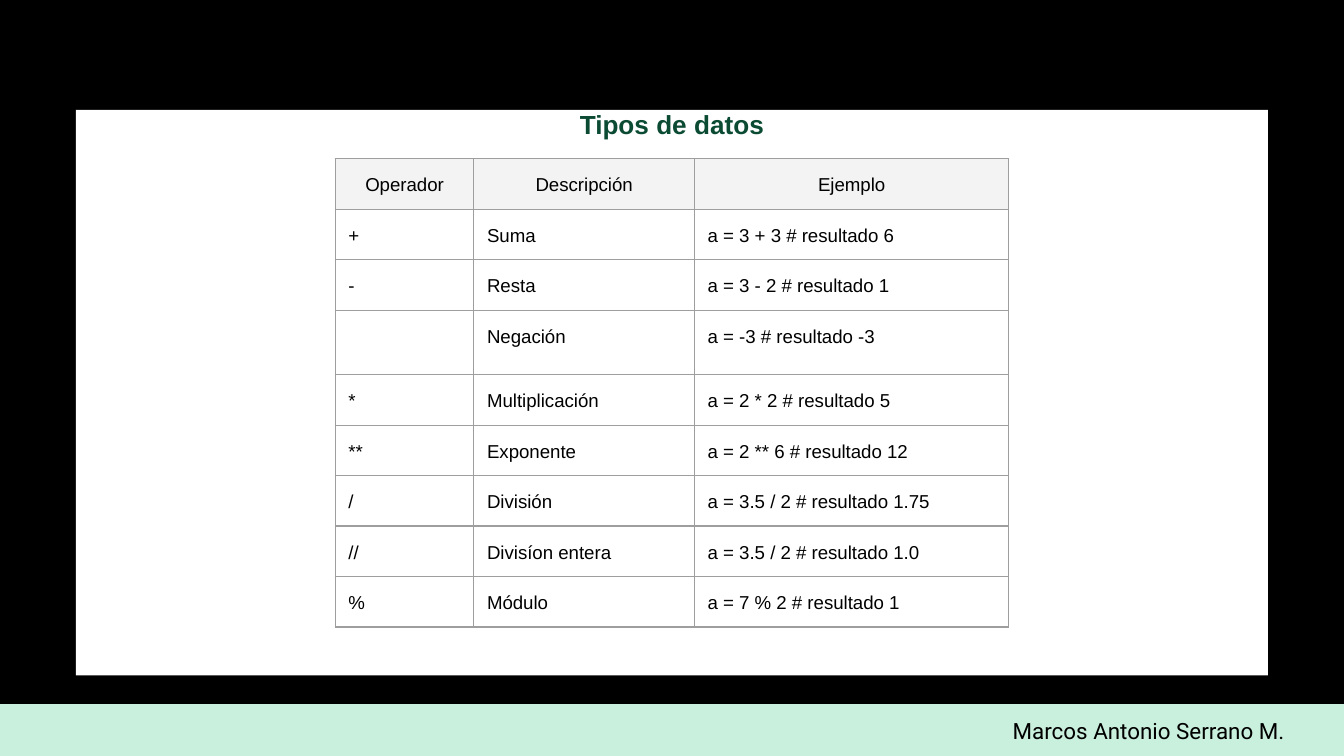
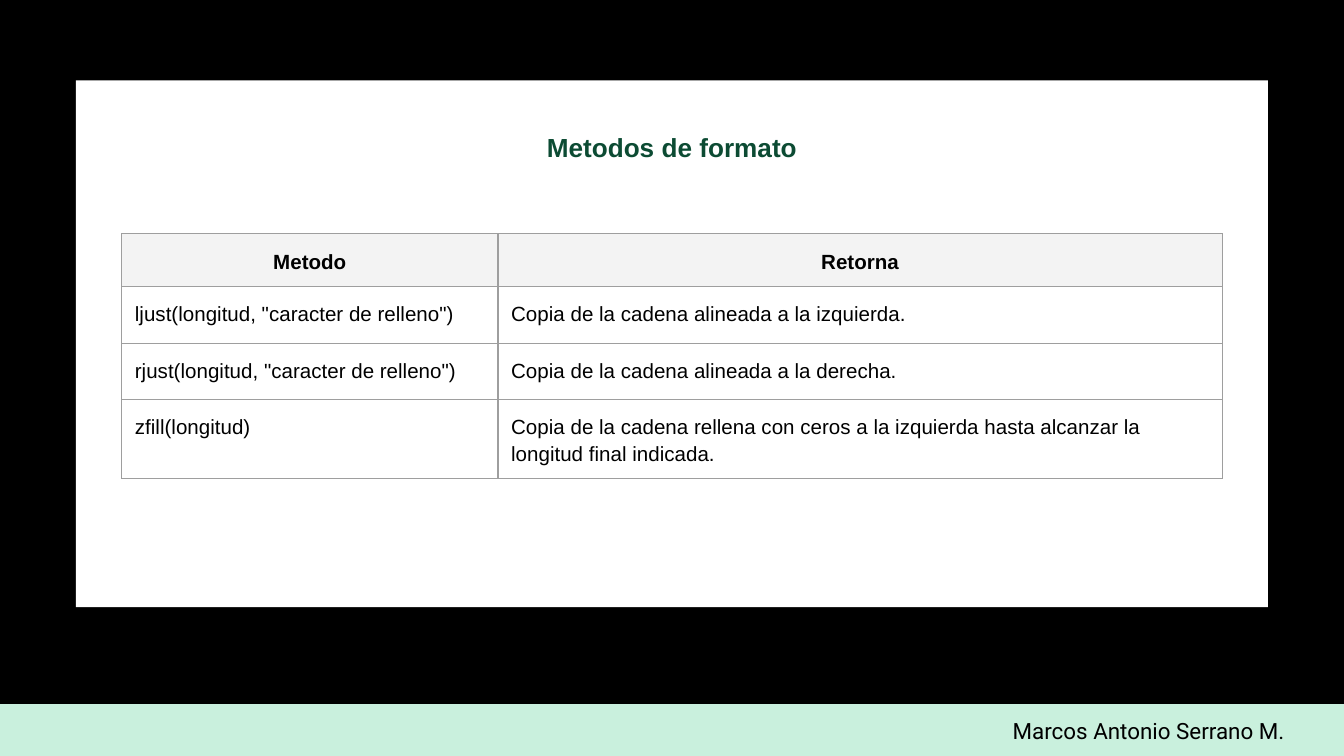
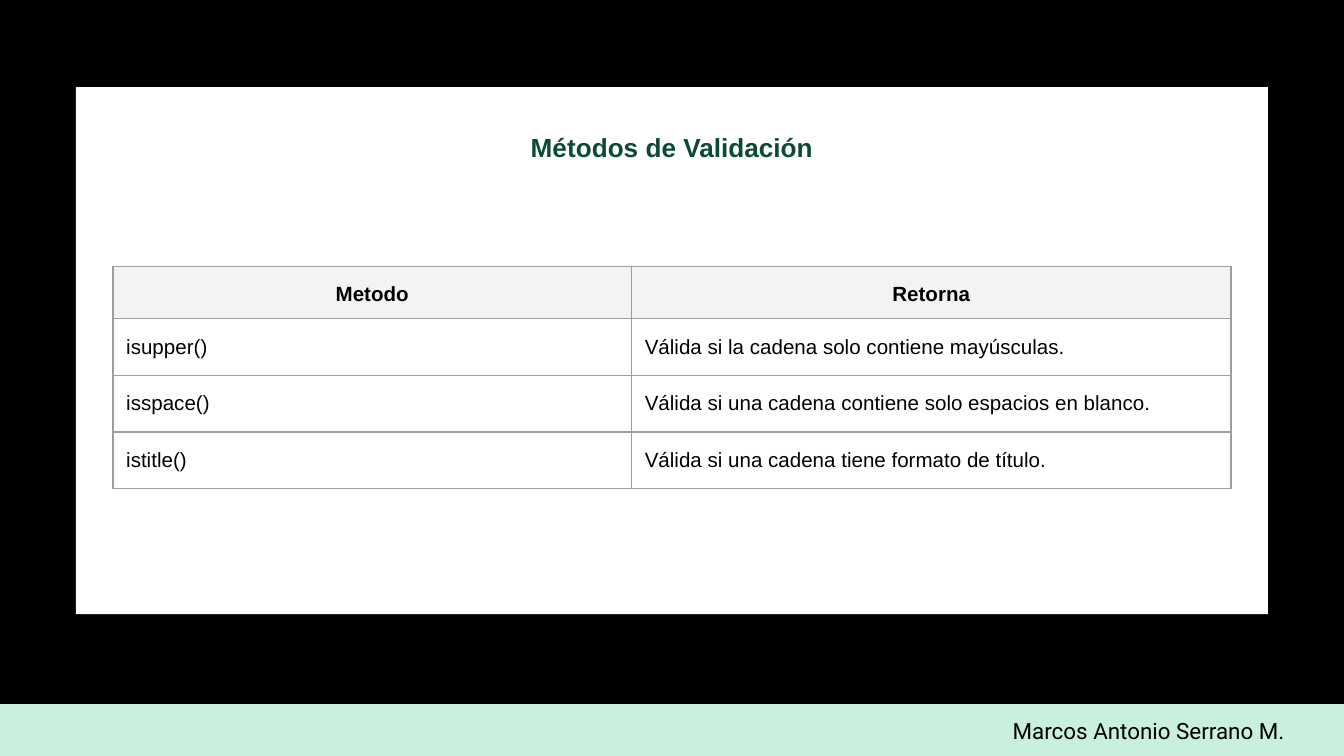
from lxml import etree
from pptx import Presentation
from pptx.dml.color import RGBColor
from pptx.enum.shapes import MSO_SHAPE
from pptx.enum.text import MSO_ANCHOR, MSO_AUTO_SIZE, PP_ALIGN
from pptx.oxml.ns import qn
from pptx.util import Cm, Pt

LEFT, CENTER, RIGHT = PP_ALIGN.LEFT, PP_ALIGN.CENTER, PP_ALIGN.RIGHT
TOP, NO_FIT, RECTANGLE = MSO_ANCHOR.TOP, MSO_AUTO_SIZE.NONE, MSO_SHAPE.RECTANGLE

# Content; lengths in cm
AUTHOR = "Marcos Antonio Serrano M."
SECTIONS = [
    {
        "title": "Tipos de datos", "title_y": (1.8, 0.97), "card_y": (2.08, 10.69),
        "table_top": 3.0, "columns": [2.62, 4.17, 5.94],
        "row_heights": [0.91] * 3 + [1.22] + [0.91] * 5,
        "size": 10, "bold_header": False,
        "rows": [
            ("Operador", "Descripción", "Ejemplo"),
            ("+", "Suma", "a = 3 + 3 # resultado 6"),
            ("-", "Resta", "a = 3 - 2 # resultado 1"),
            ("", "Negación", "a = -3 # resultado -3"),
            ("*", "Multiplicación", "a = 2 * 2 # resultado 5"),
            ("**", "Exponente", "a = 2 ** 6 # resultado 12"),
            ("/", "División", "a = 3.5 / 2 # resultado 1.75"),
            ("//", "Divisíon entera", "a = 3.5 / 2 # resultado 1.0"),
            ("%", "Módulo", "a = 7 % 2 # resultado 1"),
        ],
    },
    {
        "title": "Metodos de formato", "title_y": (2.24, 1.14), "card_y": (1.52, 9.96),
        "table_top": 4.42, "columns": [7.11, 13.69],
        "row_heights": [0.97] + [1.07] * 3,
        "size": 11, "bold_header": True,
        "rows": [
            ("Metodo", "Retorna"),
            ('ljust(longitud, "caracter de relleno")', "Copia de la cadena alineada a la izquierda."),
            ('rjust(longitud, "caracter de relleno")', "Copia de la cadena alineada a la derecha."),
            ("zfill(longitud)", "Copia de la cadena rellena con ceros a la izquierda "
                                "hasta alcanzar la longitud final indicada."),
        ],
    },
    {
        "title": "Métodos de Validación", "title_y": (2.24, 1.14), "card_y": (1.65, 9.96),
        "table_top": 5.03, "columns": [9.8, 11.33],
        "row_heights": [0.97] + [1.07] * 3,
        "size": 11, "bold_header": True,
        "rows": [
            ("Metodo", "Retorna"),
            ("isupper()", "Válida si la cadena solo contiene mayúsculas."),
            ("isspace()", "Válida si una cadena contiene solo espacios en blanco."),
            ("istitle()", "Válida si una cadena tiene formato de título."),
        ],
    },
]

# Shared style
BLACK, WHITE, MINT, GREEN = "000000", "FFFFFF", "C9F0DD", "0C4B33"
HEADER_GRAY, BORDER_GRAY = "F3F3F3", "9E9E9E"
SLIDE_W, SLIDE_H = 25.4, 14.29
CARD_W, TITLE_W = 22.53, 11.1
BAND_TOP, BAND_H = 13.31, 0.98
INSET = Cm(0.25)


def paint(fill, color):
    fill.solid()
    fill.fore_color.rgb = RGBColor.from_string(color)


def centered(width):
    return (SLIDE_W - width) / 2


def format_text(paragraph, align, font, size, color, bold=False):
    paragraph.alignment = align
    for run in paragraph.runs:
        run.font.name, run.font.size, run.font.bold = font, Pt(size), bold
        run.font.color.rgb = RGBColor.from_string(color)


def set_insets(target):
    target.margin_left = target.margin_right = INSET
    target.margin_top = target.margin_bottom = INSET


def fill_frame(shape, text, *style):
    frame = shape.text_frame
    frame.text = text
    frame.word_wrap, frame.auto_size, frame.vertical_anchor = True, NO_FIT, TOP
    set_insets(frame)
    paragraph = frame.paragraphs[0]
    paragraph.line_spacing, paragraph.space_before = 1.0, Pt(0)
    format_text(paragraph, *style)


def add_panel(slide, left, top, width, height, color):
    panel = slide.shapes.add_shape(RECTANGLE, Cm(left), Cm(top), Cm(width), Cm(height))
    panel.shadow.inherit = False
    paint(panel.fill, color)
    panel.line.fill.background()


def add_borders(cell):
    properties = cell._tc.get_or_add_tcPr()
    for index, side in enumerate(("a:lnL", "a:lnR", "a:lnT", "a:lnB")):
        line = etree.Element(qn(side), w=str(Pt(0.75)))
        solid = etree.SubElement(line, qn("a:solidFill"))
        etree.SubElement(solid, qn("a:srgbClr"), val=BORDER_GRAY)
        properties.insert(index, line)


def add_footer(slide):
    add_panel(slide, 0, BAND_TOP, SLIDE_W, BAND_H, MINT)
    author = slide.shapes.add_textbox(Cm(16.94), Cm(BAND_TOP), Cm(7.59), Cm(BAND_H))
    fill_frame(author, AUTHOR, RIGHT, "Roboto", 12, BLACK)


def place_title(slide, section):
    title = slide.shapes.title
    top, height = section["title_y"]
    title.left, title.top = Cm(centered(TITLE_W)), Cm(top)
    title.width, title.height = Cm(TITLE_W), Cm(height)
    fill_frame(title, section["title"], CENTER, "Arial", 14, GREEN, True)
    # Bring the title in front of the card
    title.element.getparent().append(title.element)


def add_section_table(slide, section):
    rows, columns, heights = section["rows"], section["columns"], section["row_heights"]
    width = sum(columns)
    table = slide.shapes.add_table(
        len(rows), len(columns), Cm(centered(width)), Cm(section["table_top"]),
        Cm(width), Cm(sum(heights))).table
    table.first_row = table.horz_banding = False
    for column, column_width in zip(table.columns, columns):
        column.width = Cm(column_width)
    for r, (values, height) in enumerate(zip(rows, heights)):
        table.rows[r].height = Cm(height)
        header = r == 0
        for c, value in enumerate(values):
            cell = table.cell(r, c)
            if header:
                paint(cell.fill, HEADER_GRAY)
            else:
                cell.fill.background()
            add_borders(cell)
            if not value:
                continue
            set_insets(cell)
            cell.text_frame.text = value
            paragraph = cell.text_frame.paragraphs[0]
            paragraph.line_spacing = 1.15
            format_text(paragraph, CENTER if header else LEFT, "Arial", section["size"],
                        BLACK, header and section["bold_header"])


def main():
    prs = Presentation()
    prs.slide_width, prs.slide_height = Cm(SLIDE_W), Cm(SLIDE_H)
    paint(prs.slide_master.background.fill, BLACK)
    title_only = prs.slide_layouts[5]
    for section in SECTIONS:
        slide = prs.slides.add_slide(title_only)
        add_footer(slide)
        card_top, card_height = section["card_y"]
        add_panel(slide, centered(CARD_W), card_top, CARD_W, card_height, WHITE)
        place_title(slide, section)
        add_section_table(slide, section)
    prs.save("out.pptx")


if __name__ == "__main__":
    main()
